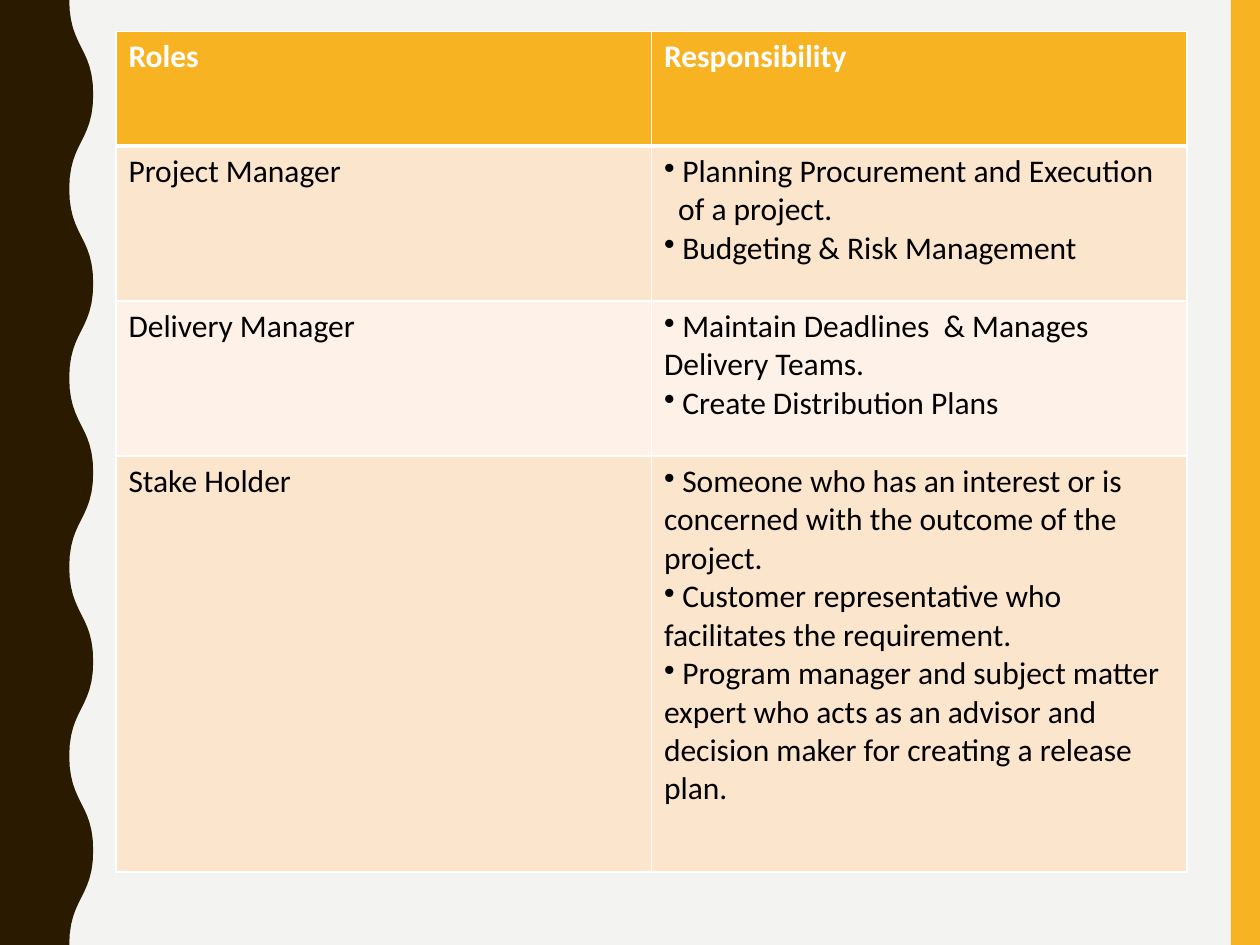
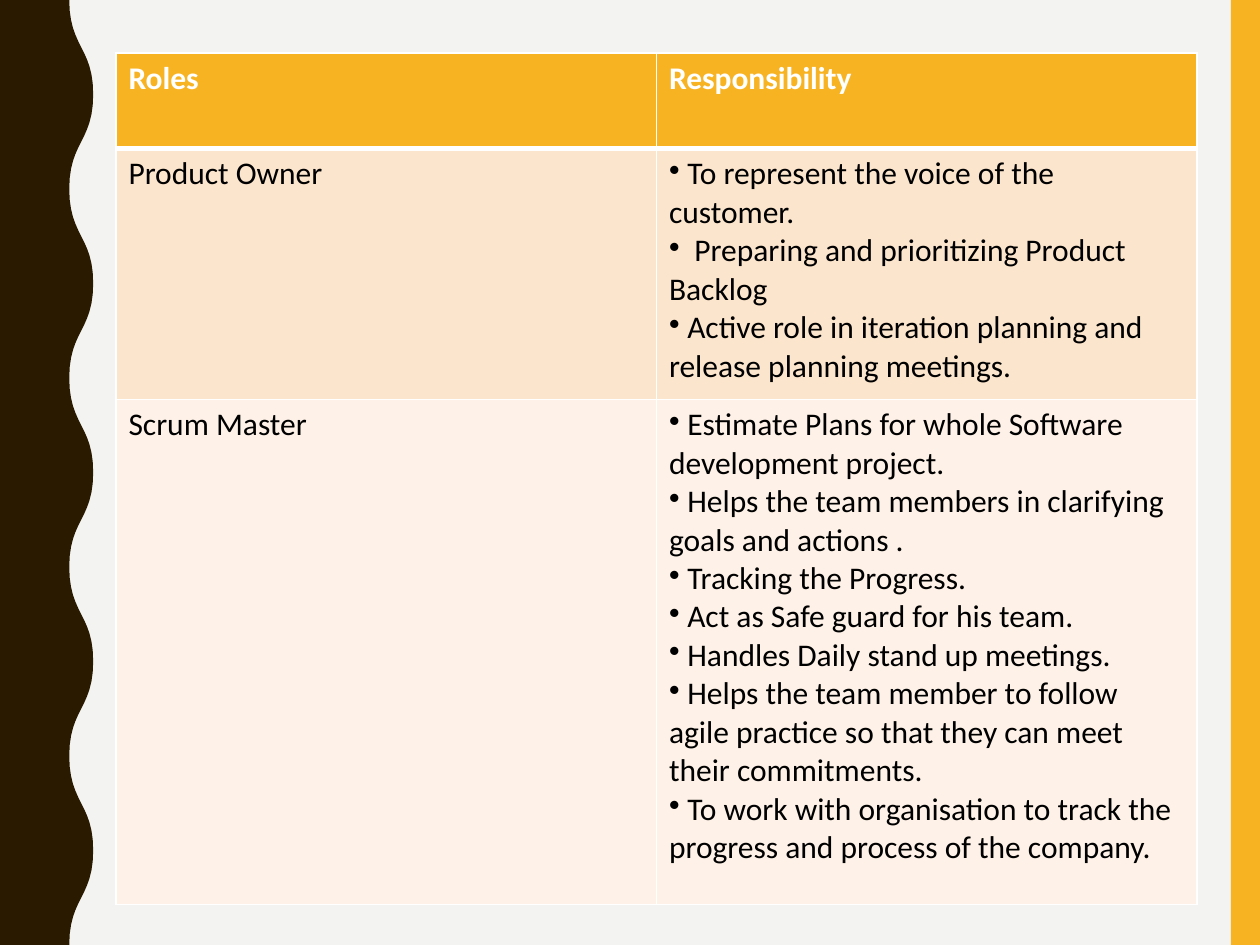
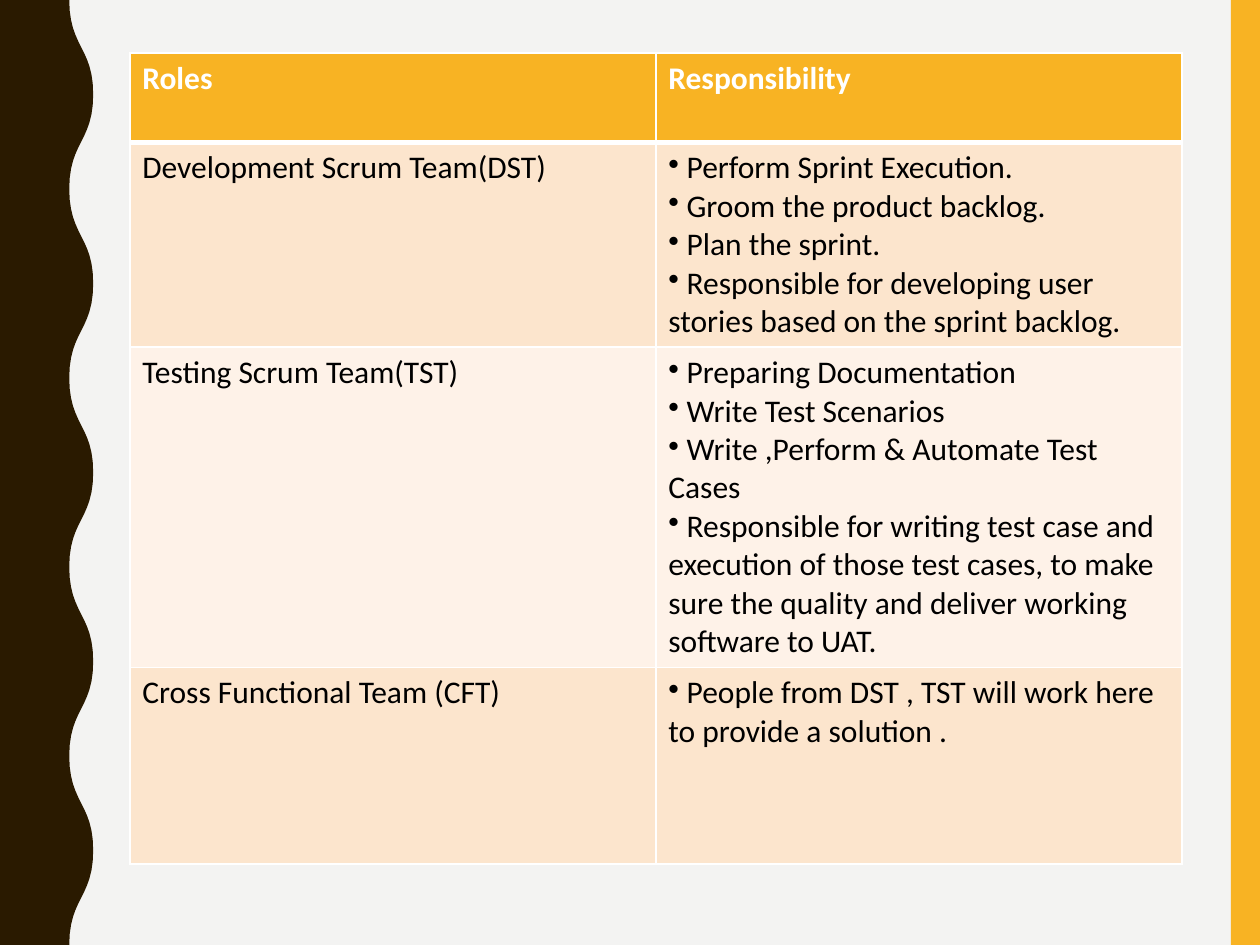
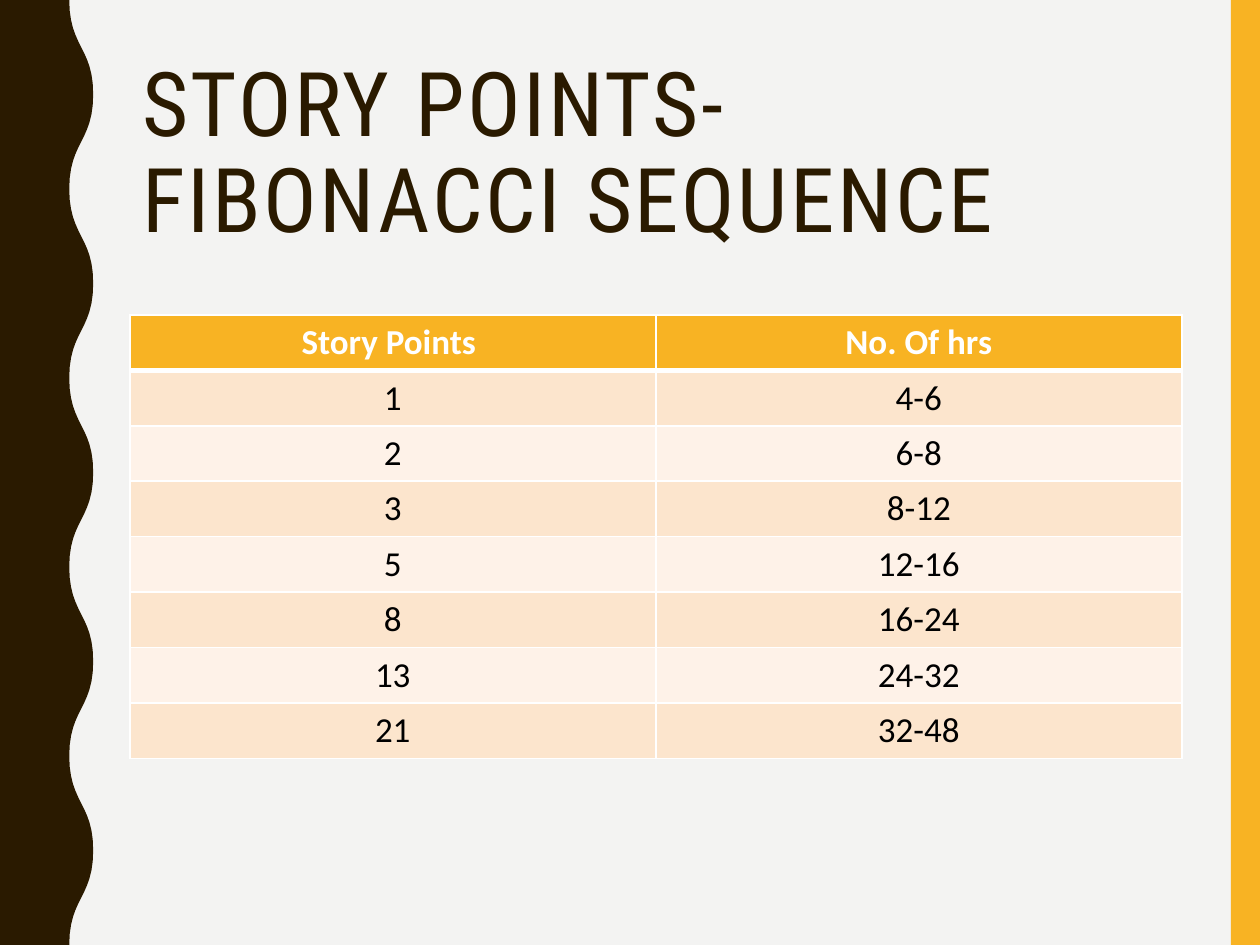
from dataclasses import dataclass
from lxml import etree
from pptx import Presentation
from pptx.dml.color import RGBColor
from pptx.enum.shapes import MSO_SHAPE
from pptx.enum.text import MSO_ANCHOR, PP_ALIGN
from pptx.oxml.ns import qn
from pptx.util import Inches, Pt

RECT = MSO_SHAPE.RECTANGLE
MIDDLE = MSO_ANCHOR.MIDDLE
LEFT, CENTER = PP_ALIGN.LEFT, PP_ALIGN.CENTER


@dataclass(frozen=True)
class Theme:
    paper: str = "F3F3F2"
    gold: str = "F8B323"
    dark: str = "2A1A00"
    white: str = "FFFFFF"
    black: str = "000000"
    bands: tuple = ("FCE5CD", "FEF2E8")
    body: str = "Calibri"
    head: str = "Roboto Condensed"
    title: int = 51
    text: int = 18
    large: int = 20
    thin: int = 1
    thick: int = 3


THEME = Theme()
WIDE, HIGH = 10, 7.5
ROLES = ("Roles", "Responsibility")

# Table contents: a list in a cell becomes bullets
LEADS = [
    ROLES,
    ("Project Manager", [
        "Planning Procurement and Execution\v  of a project.",
        "Budgeting & Risk Management"]),
    ("Delivery Manager", [
        "Maintain Deadlines  & Manages Delivery Teams.",
        "Create Distribution Plans"]),
    ("Stake Holder", [
        "Someone who has an interest or is concerned with the outcome "
        "of the project.",
        "Customer representative who facilitates the requirement.",
        "Program manager and subject matter expert who acts as an advisor "
        "and decision maker for creating a release plan."]),
]
OWNERS = [
    ROLES,
    ("Product Owner", [
        "To represent the voice of the customer.",
        " Preparing and prioritizing Product Backlog",
        "Active role in iteration planning and release planning meetings."]),
    ("Scrum Master", [
        "Estimate Plans for whole Software development project.",
        "Helps the team members in clarifying goals and actions .",
        "Tracking the Progress.",
        "Act as Safe guard for his team.",
        "Handles Daily stand up meetings.",
        "Helps the team member to follow agile practice so that they can "
        "meet their commitments.",
        "To work with organisation to track the progress and process of "
        "the company."]),
]
TEAMS = [
    ROLES,
    ("Development Scrum Team(DST)", [
        "Perform Sprint Execution.",
        "Groom the product backlog.",
        "Plan the sprint.",
        "Responsible for developing user stories based on the sprint "
        "backlog."]),
    ("Testing Scrum Team(TST)", [
        "Preparing Documentation",
        "Write Test Scenarios",
        "Write ,Perform & Automate Test Cases",
        "Responsible for writing test case and execution of those test "
        "cases, to make sure the quality and deliver working software to "
        "UAT."]),
    ("Cross Functional Team (CFT)", [
        "People from DST , TST will work here to provide a solution ."]),
]
POINTS = [
    ("Story Points ", "No. Of hrs"),
    ("1", "4-6"), ("2", "6-8"), ("3", "8-12"), ("5", "12-16"),
    ("8", "16-24"), ("13", "24-32"), ("21", "32-48"),
]


# Formatting helpers
def color(code):
    return RGBColor.from_string(code)


def style(font, code, **form):
    for key, value in form.items():
        setattr(font, key, value)
    font.color.rgb = color(code)


def paint(shape, code):
    shape.shadow.inherit = False
    shape.fill.solid()
    shape.fill.fore_color.rgb = color(code)
    shape.line.fill.background()


def bullet(para):
    props = para._p.get_or_add_pPr()
    props.set("marL", "0")
    props.set("indent", "0")
    etree.SubElement(props, qn("a:buChar")).set("char", "•")


def border(cell, sizes):
    props = cell._tc.get_or_add_tcPr()
    for spot, (side, size) in enumerate(sizes.items()):
        line = etree.Element(qn(f"a:ln{side}"), w=str(Pt(size)))
        fill = etree.SubElement(line, qn("a:solidFill"))
        etree.SubElement(fill, qn("a:srgbClr")).set("val", THEME.white)
        props.insert(spot, line)


# Shared frame: gold band on the right, dark wave on the left
def wave(slide, low=0.55, high=0.74, count=10, steps=12):
    step = HIGH / count
    edge = []
    for part in range(count):
        start, end = (low, high) if part % 2 == 0 else (high, low)
        for tick in range(1, steps + 1):
            t = tick / steps
            ease = 3 * t**2 - 2 * t**3
            rise = 1.5 * t * (1 - t) + t**3
            edge.append((Inches(start + (end - start) * ease),
                         Inches(step * (part + rise))))
    pen = slide.shapes.build_freeform(0, 0)
    pen.add_line_segments([(Inches(low), 0), *edge, (0, Inches(HIGH))])
    paint(pen.convert_to_shape(), THEME.dark)


def page(deck):
    slide = deck.slides.add_slide(deck.slide_layouts[6])
    band = slide.shapes.add_shape(
        RECT, Inches(9.77), 0, Inches(WIDE - 9.77), Inches(HIGH))
    paint(band, THEME.gold)
    wave(slide)
    return slide


# Slide elements
def title(slide, text):
    box = slide.shapes.add_textbox(
        Inches(1.03), Inches(0.42), Inches(8.35), Inches(1.63))
    frame = box.text_frame
    frame.word_wrap = True
    frame.vertical_anchor = MIDDLE
    para = frame.paragraphs[0]
    para.text = text
    para.line_spacing = 0.9
    for run in para.runs:
        style(run.font, THEME.dark, name=THEME.head, size=Pt(THEME.title))
        run.font._element.set("spc", "150")


def write(cell, item, size, align, top):
    frame = cell.text_frame
    lines = item if isinstance(item, list) else [item]
    for spot, line in enumerate(lines):
        para = frame.add_paragraph() if spot else frame.paragraphs[0]
        para.alignment = align
        if isinstance(item, list):
            bullet(para)
            line = " " + line
        para.text = line
        for run in para.runs:
            style(run.font, THEME.white if top else THEME.black,
                  name=THEME.body, size=Pt(size), bold=top)


def table(slide, data, left, top, width, rows, size=THEME.text, align=LEFT):
    cols = len(data[0])
    grid = slide.shapes.add_table(
        len(data), cols, Inches(left), Inches(top),
        Inches(width), Inches(sum(rows))).table
    grid.horz_banding = False
    for col in grid.columns:
        col.width = Inches(width / cols)
    for r, (items, height) in enumerate(zip(data, rows)):
        grid.rows[r].height = Inches(height)
        fill = THEME.bands[(r - 1) % 2] if r else THEME.gold
        sizes = {"L": THEME.thin, "R": THEME.thin,
                 "T": THEME.thick if r == 1 else THEME.thin,
                 "B": THEME.thick if r == 0 else THEME.thin}
        for c, item in enumerate(items):
            cell = grid.cell(r, c)
            cell.fill.solid()
            cell.fill.fore_color.rgb = color(fill)
            border(cell, sizes)
            write(cell, item, size, align, r == 0)


def main():
    deck = Presentation()
    deck.slide_width, deck.slide_height = Inches(WIDE), Inches(HIGH)
    back = deck.slide_master.background.fill
    back.solid()
    back.fore_color.rgb = color(THEME.paper)

    # Roles and responsibilities
    table(page(deck), LEADS, 0.92, 0.25, 8.5, [0.91, 1.23, 1.23, 3.3])
    table(page(deck), OWNERS, 0.92, 0.42, 8.58, [0.76, 1.99, 4.01])
    table(page(deck), TEAMS, 1.03, 0.42, 8.35, [0.71, 1.62, 2.54, 1.56])

    # Story points
    slide = page(deck)
    title(slide, "STORY POINTS-\vFIBONACCI SEQUENCE")
    table(slide, POINTS, 1.03, 2.5, 8.35, [0.44] * len(POINTS),
          THEME.large, CENTER)
    deck.save("out.pptx")


if __name__ == "__main__":
    main()
